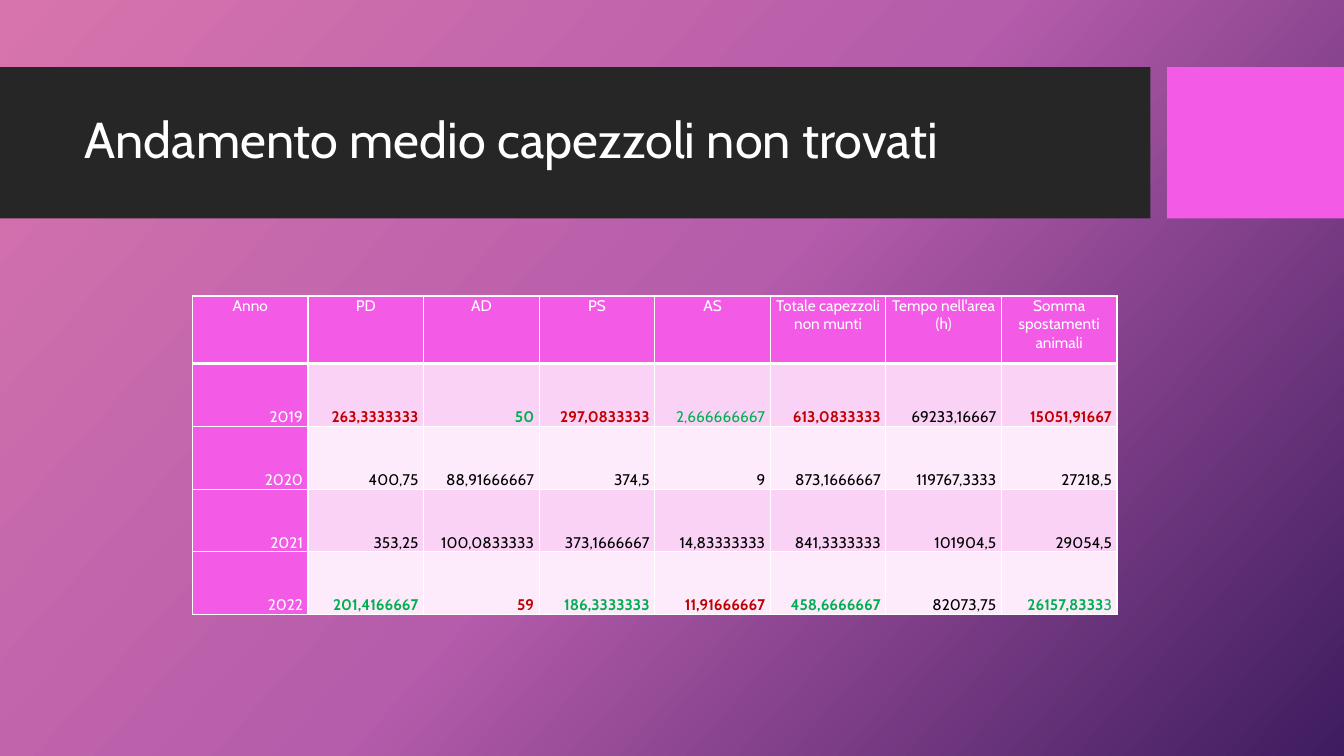
import copy

import lxml.etree
import pptx
import pptx.dml.color
import pptx.enum.shapes
import pptx.enum.text
import pptx.oxml.ns
import pptx.util

Pt = pptx.util.Pt
qn = pptx.oxml.ns.qn
ALIGN = pptx.enum.text.PP_ALIGN
ANCHOR = pptx.enum.text.MSO_ANCHOR

COLORS = {
    "white": "FFFFFF", "black": "000000", "dark": "262626", "pink": "F35AE6",
    "band_odd": "FAD2F5", "band_even": "FDEAFA", "red": "C00000", "green": "00B050",
}
GRADIENT = [(0, "D774AD"), (0.5, "B55CAB"), (1, "3E1C5F")]
FONT = "Cabin"


def rgb(name):
    return pptx.dml.color.RGBColor.from_string(COLORS[name])


def set_font(font, size, color, bold=False):
    font.name, font.size, font.bold = FONT, Pt(size), bold
    font.color.rgb = rgb(color)


presentation = pptx.Presentation()
presentation.slide_width, presentation.slide_height = Pt(960), Pt(540)
slide = presentation.slides.add_slide(presentation.slide_layouts[6])

# Background: three-stop gradient
background = slide.background.fill
background.gradient()
stop_list = slide.element.find(".//" + qn("a:gsLst"))
stop_list.append(copy.deepcopy(stop_list[-1]))
for stop, (position, color) in zip(background.gradient_stops, GRADIENT):
    stop.position = position
    stop.color.rgb = pptx.dml.color.RGBColor.from_string(color)
background.gradient_angle = 360 - 42

# Title band and accent block
for left, width, color in [(0, 821.8, "dark"), (833.6, 126.4, "pink")]:
    shape = slide.shapes.add_shape(
        pptx.enum.shapes.MSO_SHAPE.RECTANGLE, Pt(left), Pt(48), Pt(width), Pt(108))
    shape.shadow.inherit = False
    shape.fill.solid()
    shape.fill.fore_color.rgb = rgb(color)
    shape.line.fill.background()

# Title
title = slide.shapes.add_textbox(Pt(53.5), Pt(59), Pt(756.5), Pt(85)).text_frame
title.word_wrap = True
title.vertical_anchor = ANCHOR.MIDDLE
paragraph = title.paragraphs[0]
paragraph.text = "Andamento medio capezzoli non trovati"
paragraph.line_spacing = 0.9
set_font(paragraph.font, 36, "white")

# Table data
rows = [
    ["Anno", "PD", "AD", "PS", "AS", "Totale capezzoli non munti",
     "Tempo nell'area (h)", "Somma spostamenti animali"],
    ["2019", "263,3333333", "50", "297,0833333", "2,666666667",
     "613,0833333", "69233,16667", "15051,91667"],
    ["2020", "400,75", "88,91666667", "374,5", "9",
     "873,1666667", "119767,3333", "27218,5"],
    ["2021", "353,25", "100,0833333", "373,1666667", "14,83333333",
     "841,3333333", "101904,5", "29054,5"],
    ["2022", "201,4166667", "59", "186,3333333", "11,91666667",
     "458,6666667", "82073,75", "26157,83333"],
]
highlights = {
    "red": [(1, 1), (1, 3), (1, 5), (1, 7), (4, 2), (4, 4)],
    "green": [(1, 2), (1, 4), (4, 1), (4, 3), (4, 5), (4, 7)],
}
highlight_colors = {cell: color for color, cells in highlights.items() for cell in cells}
REGULAR_HIGHLIGHT = (1, 4)
SPLIT_WEIGHT = (4, 7)  # last digit is not bold

# Table
table = slide.shapes.add_table(
    len(rows), len(rows[0]), Pt(137.5), Pt(211.5), Pt(660.4), Pt(227.6)).table
for column in table.columns:
    column.width = Pt(82.55)
for index, row in enumerate(table.rows):
    row.height = Pt(44.85 if index else 48.2)

for row_index, values in enumerate(rows):
    for column_index, value in enumerate(values):
        position = (row_index, column_index)
        is_header = row_index == 0
        cell = table.cell(*position)
        cell.margin_left = cell.margin_right = Pt(3.6)
        cell.margin_top = cell.margin_bottom = 0
        cell.vertical_anchor = ANCHOR.TOP if is_header else ANCHOR.BOTTOM

        # Borders come before the fill in the cell properties
        properties = cell._tc.get_or_add_tcPr()
        for side in ("lnL", "lnR", "lnT", "lnB"):
            width = 3 if is_header and side == "lnB" else 1
            line = lxml.etree.SubElement(properties, qn("a:" + side), w=str(Pt(width)))
            line_fill = lxml.etree.SubElement(line, qn("a:solidFill"))
            lxml.etree.SubElement(line_fill, qn("a:srgbClr"), val=COLORS["white"])

        if is_header or column_index == 0:
            fill, color = "pink", "white"
        else:
            fill = "band_odd" if row_index % 2 else "band_even"
            color = highlight_colors.get(position, "black")
        cell.fill.solid()
        cell.fill.fore_color.rgb = rgb(fill)

        # Cell text
        bold = position in highlight_colors and position != REGULAR_HIGHLIGHT
        paragraph = cell.text_frame.paragraphs[0]
        paragraph.alignment = ALIGN.CENTER if is_header else ALIGN.RIGHT
        if position == SPLIT_WEIGHT:
            for text, weight in [(value[:-1], True), (value[-1], False)]:
                run = paragraph.add_run()
                run.text = text
                set_font(run.font, 11, color, weight)
        else:
            paragraph.text = value
            set_font(paragraph.font, 11, color, bold)

presentation.save("out.pptx")
